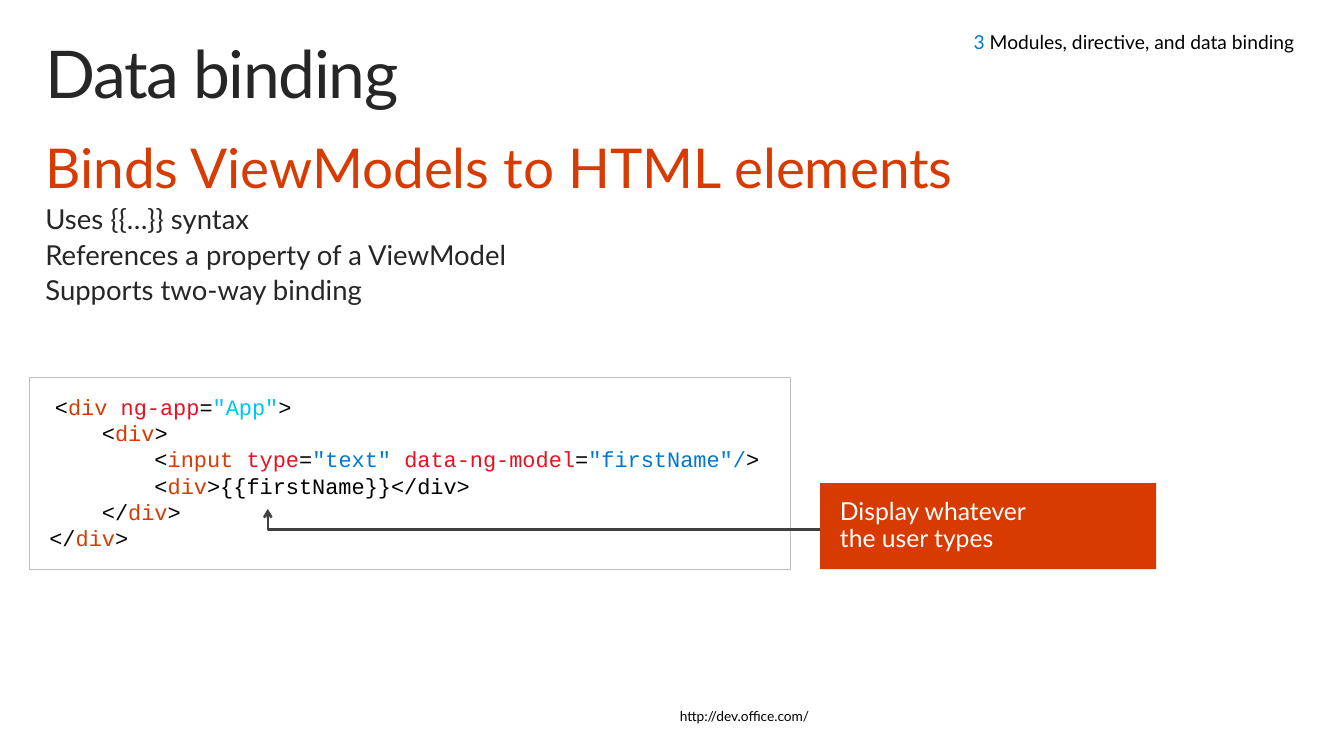
from lxml.etree import SubElement
from pptx import Presentation
from pptx.dml.color import RGBColor
from pptx.enum.shapes import MSO_SHAPE
from pptx.enum.text import MSO_ANCHOR, PP_ALIGN
from pptx.oxml.ns import qn
from pptx.util import Pt

COLORS = {
    "black": "000000", "ink": "262626", "line": "404040", "border": "BFBFBF",
    "orange": "D83B01", "red": "E81123", "blue": "0078D7", "cyan": "00C1F8",
    "white": "FFFFFF",
}
LATO, MONO = "Lato", "Courier New"
LABEL_INSETS = (11.5, 7.2, 11.5, 7.2)
PANEL_INSETS = (14.4, 11.5, 14.4, 11.5)

CODE = [
    [("<", "black"), ("div ", "orange"), ("ng-app", "red"), ("=", "black"),
     ('"App"', "cyan"), (">", "black")],
    [("    <", "black"), ("div", "orange"), (">", "black")],
    [("        <", "black"), ("input ", "orange"), ("type", "red"), ("=", "black"),
     ('"text" ', "blue"), ("data-ng-model", "red"), ("=", "black"),
     ('"firstName"/', "blue"), (">", "black")],
    [("        <", "black"), ("div", "orange"), (">{{firstName}}</div>", "black")],
    [("    </", "black"), ("div", "orange"), (">", "black")],
    [("</", "black"), ("div", "orange"), (">", "black")],
]


class SlideBuilder:
    def __init__(self, slide):
        self.slide = slide

    def color(self, name):
        return RGBColor.from_string(COLORS[name])

    def frame(self, shape, insets, wrap=True):
        frame = shape.text_frame
        frame.word_wrap = wrap
        frame.vertical_anchor = MSO_ANCHOR.TOP
        (frame.margin_left, frame.margin_top,
         frame.margin_right, frame.margin_bottom) = map(Pt, insets)
        return frame

    def style(self, run, size, color, font=LATO):
        run.font.name = font
        run.font.size = Pt(size)
        run.font.color.rgb = self.color(color)

    def set_lines(self, frame, lines, spacing=0.9):
        frame.text = "\n".join(text for text, size, color in lines)
        for index, (paragraph, (text, size, color)) in enumerate(zip(frame.paragraphs, lines)):
            paragraph.alignment = PP_ALIGN.LEFT
            paragraph.line_spacing = spacing
            paragraph.space_before = Pt(size * 0.2 if index else 0)
            for run in paragraph.runs:
                self.style(run, size, color)

    def text(self, box, lines, wrap=True):
        label = self.slide.shapes.add_textbox(*map(Pt, box))
        frame = self.frame(label, LABEL_INSETS, wrap)
        self.set_lines(frame, lines)
        return frame

    def panel(self, box, fill=None, border=None):
        panel = self.slide.shapes.add_shape(MSO_SHAPE.RECTANGLE, *map(Pt, box))
        panel.shadow.inherit = False
        if fill:
            panel.fill.solid()
            panel.fill.fore_color.rgb = self.color(fill)
        else:
            panel.fill.background()
        if border:
            panel.line.color.rgb = self.color(border)
            panel.line.width = Pt(0.75)
        else:
            panel.line.fill.background()
        return self.frame(panel, PANEL_INSETS)

    def spans(self, paragraph, spans, size, font):
        for text, color in spans:
            run = paragraph.add_run()
            run.text = text
            self.style(run, size, color, font)

    def code(self, box, lines):
        frame = self.panel(box, border="border")
        for index, spans in enumerate(lines):
            paragraph = frame.add_paragraph() if index else frame.paragraphs[0]
            paragraph.alignment = PP_ALIGN.LEFT
            paragraph.line_spacing = Pt(19.2)
            if index == 0:
                self.spans(paragraph, [(" ", "black")], 16, LATO)
            self.spans(paragraph, spans, 16, MONO)

    def header(self, box, spans):
        label = self.slide.shapes.add_textbox(*map(Pt, box))
        paragraph = self.frame(label, (7.2, 0, 14.4, 0)).paragraphs[0]
        paragraph.alignment = PP_ALIGN.RIGHT
        self.spans(paragraph, spans, 14, LATO)

    def arrow(self, points):
        start, *rest = [(Pt(x), Pt(y)) for x, y in points]
        outline = self.slide.shapes.build_freeform(*start)
        outline.add_line_segments(rest, close=False)
        arrow = outline.convert_to_shape()
        arrow.shadow.inherit = False
        arrow.fill.background()
        arrow.line.color.rgb = self.color("line")
        arrow.line.width = Pt(1.75)
        SubElement(arrow.element.spPr.find(qn("a:ln")), qn("a:tailEnd"), type="arrow")


def main():
    deck = Presentation()
    deck.slide_width, deck.slide_height = Pt(979.2), Pt(550.8)
    builder = SlideBuilder(deck.slides.add_slide(deck.slide_layouts[6]))

    builder.text((483.8, 511.9, 119.5, 25.2),
                 [("http://dev.office.com/", 10, "black")], wrap=False)
    title = builder.text((21.6, 23, 936, 72), [("Data binding", 48, "ink")])
    title.paragraphs[0].runs[0]._r.get_or_add_rPr().set("spc", "-100")
    builder.text((21.6, 95.8, 936, 159.1), [
        ("Binds ViewModels to HTML elements", 40, "orange"),
        ("Uses {{…}} syntax", 20, "ink"),
        ("References a property of a ViewModel", 20, "ink"),
        ("Supports two-way binding", 20, "ink"),
    ])
    builder.code((21.6, 275, 554.4, 139.7), CODE)
    callout = builder.panel((597.6, 352.1, 244.8, 62.6), fill="orange")
    builder.set_lines(callout, [("Display whatever\vthe user types", 18, "white")])
    builder.arrow([(597.6, 385.9), (195.1, 385.9), (195.1, 370.8)])
    builder.header((627.1, 22.2, 330.5, 29.5),
                   [("3", "blue"), (" Modules, directive, and data binding", "black")])
    deck.save("out.pptx")


if __name__ == "__main__":
    main()
